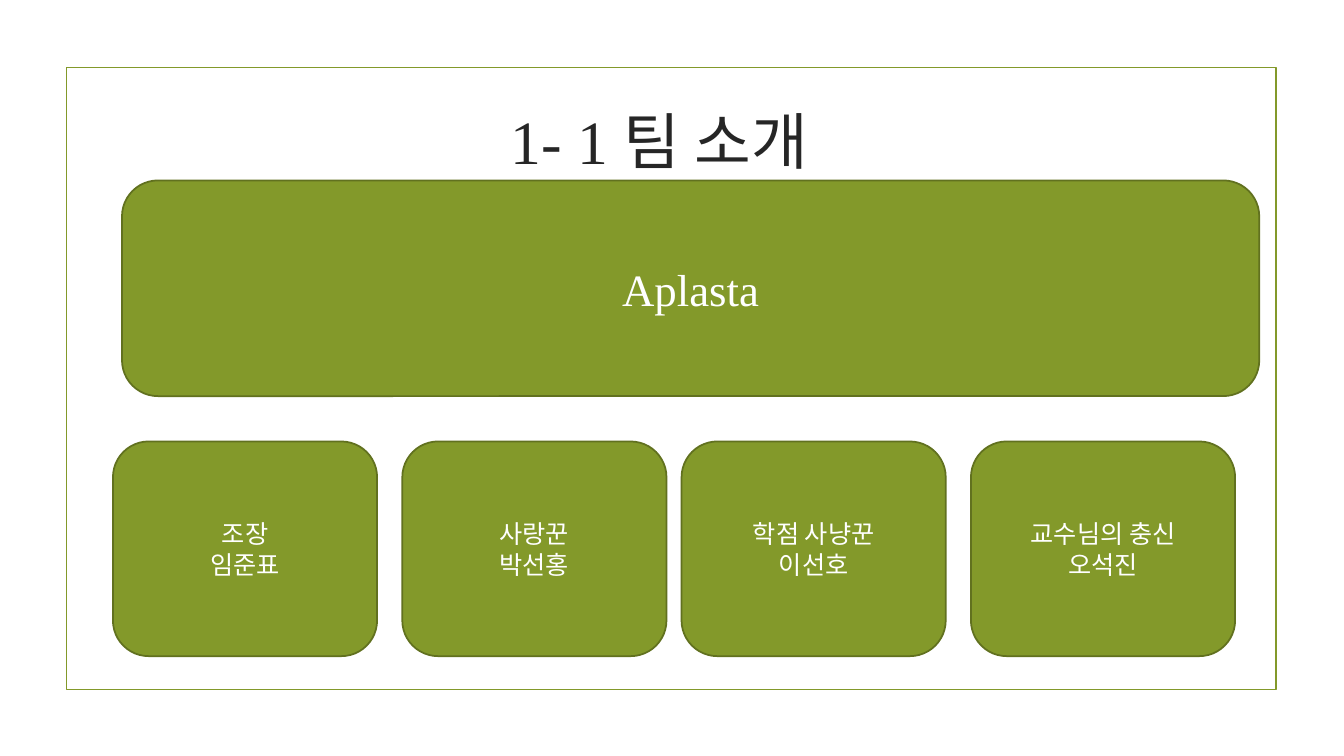
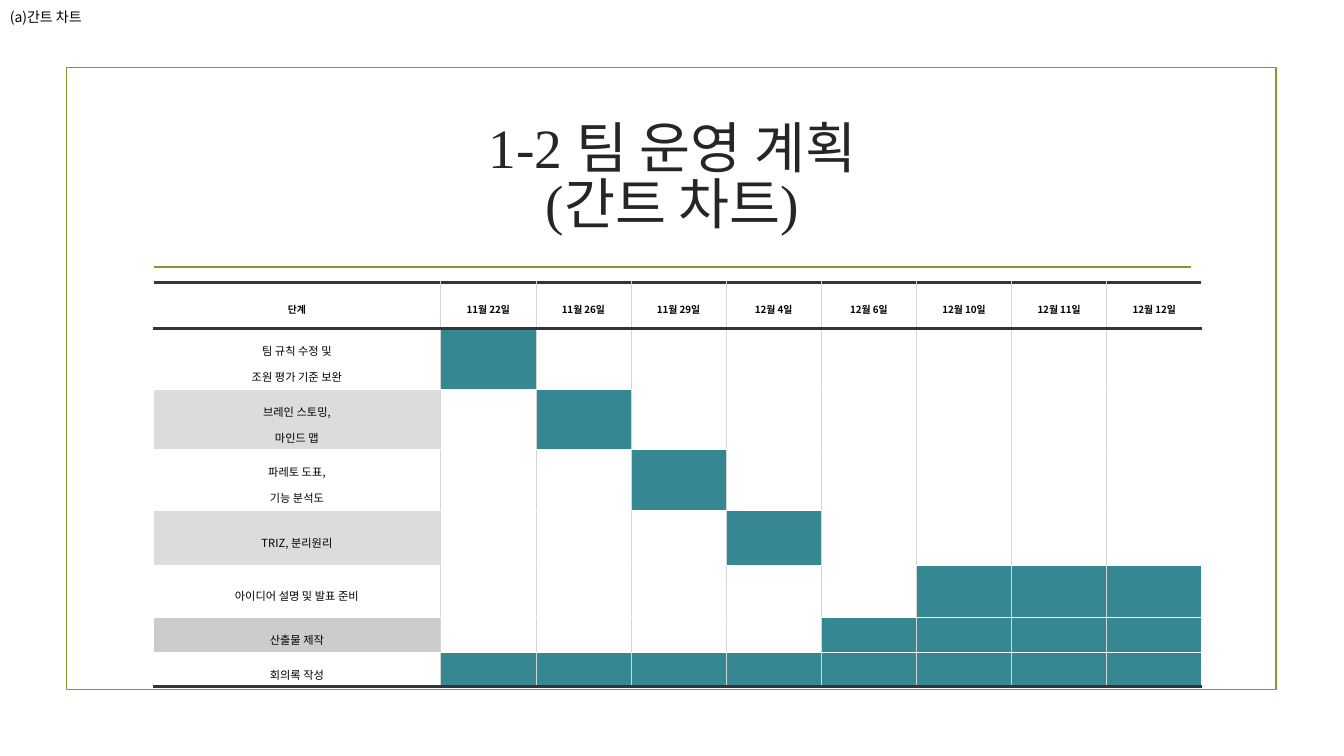
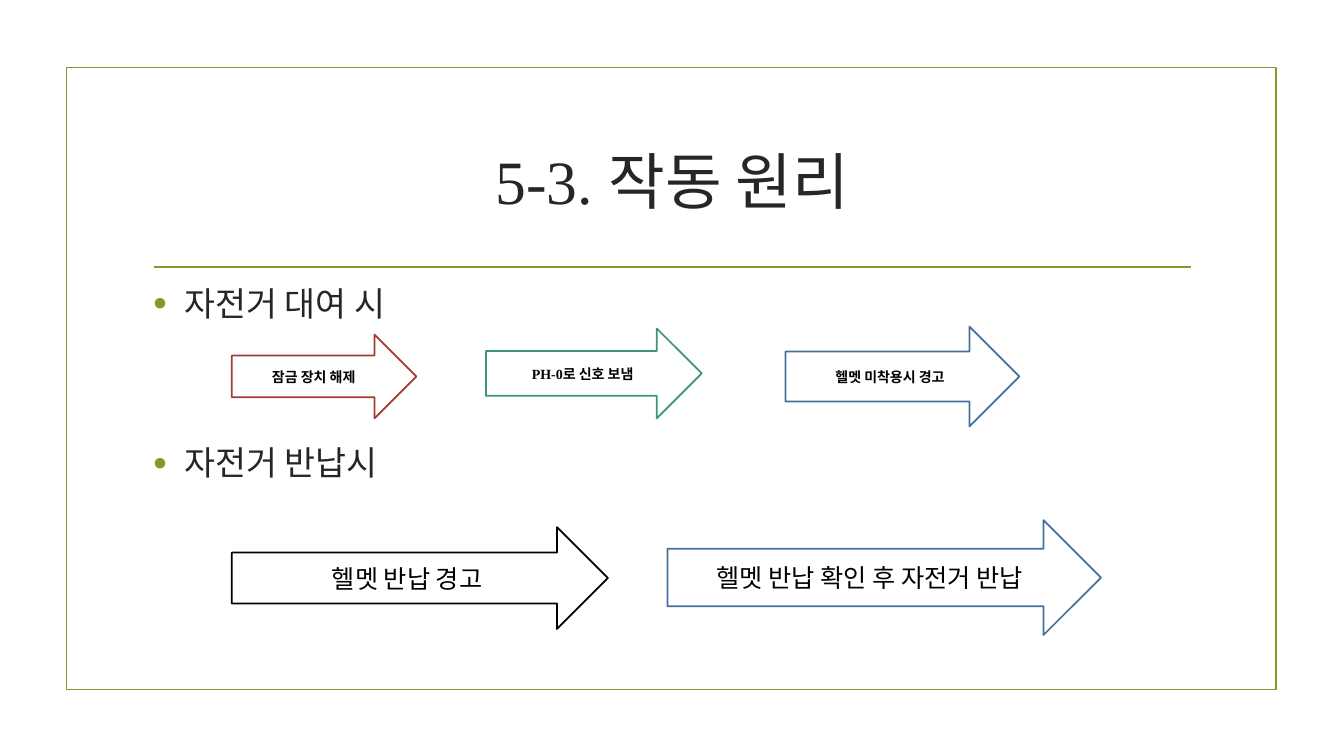
"""Build three team project slides: members, Gantt chart and working principle."""
from lxml import etree
from pptx import Presentation
from pptx.dml.color import RGBColor
from pptx.enum.shapes import MSO_CONNECTOR, MSO_SHAPE
from pptx.enum.text import MSO_ANCHOR, MSO_AUTO_SIZE, PP_ALIGN
from pptx.oxml.ns import qn
from pptx.util import Inches, Pt

RECTANGLE = MSO_SHAPE.RECTANGLE
ROUNDED = MSO_SHAPE.ROUNDED_RECTANGLE
ARROW = MSO_SHAPE.RIGHT_ARROW
STRAIGHT = MSO_CONNECTOR.STRAIGHT
MIDDLE = MSO_ANCHOR.MIDDLE
TOP = MSO_ANCHOR.TOP
NO_AUTOFIT = MSO_AUTO_SIZE.NONE
LEFT = PP_ALIGN.LEFT
CENTER = PP_ALIGN.CENTER

COLORS = {
    "green": "83992A", "dark_green": "61711F", "title": "262626",
    "white": "FFFFFF", "black": "000000", "red": "A23C33",
    "mint": "3C9770", "blue": "44709D", "teal": "358791",
    "grid": "D6D6D6", "rule": "353535", "light_gray": "DCDCDC", "gray": "CCCCCC",
}
SERIF = "Times New Roman"
SANS = "Noto Sans CJK KR"
LINE_WIDTH = Pt(1.25)


def write_text(text_frame, text, size, color, font=SERIF, bold=False, align=CENTER, anchor=MIDDLE):
    """Fill a text frame and format every run, for Latin and Korean alike."""
    text_frame.text = text
    text_frame.word_wrap = True
    text_frame.vertical_anchor = anchor
    for paragraph in text_frame.paragraphs:
        paragraph.alignment = align
        for run in paragraph.runs:
            run.font.size = Pt(size)
            run.font.bold = bold
            run.font.name = font
            run.font.color.rgb = RGBColor.from_string(COLORS[color])
            east_asian = etree.Element(qn("a:ea"), typeface=SANS)
            run.font._element.find(qn("a:latin")).addnext(east_asian)


def add_block(slide, kind, box, fill, line):
    """Add a flat preset shape; a fill of None leaves it open."""
    shape = slide.shapes.add_shape(kind, *[Inches(value) for value in box])
    shape.shadow.inherit = False
    if fill:
        shape.fill.solid()
        shape.fill.fore_color.rgb = RGBColor.from_string(COLORS[fill])
    else:
        shape.fill.background()
    shape.line.color.rgb = RGBColor.from_string(COLORS[line])
    shape.line.width = LINE_WIDTH
    return shape


presentation = Presentation()
presentation.slide_width = Inches(13.33)
presentation.slide_height = Inches(7.5)

TITLES = [
    ("1- 1 팀 소개", 5, (1.29, 0.67), 44, 1.0, False),
    ("1-2 팀 운영 계획\v(간트 차트)", 5, (1.42, 1.07), 39.6, 0.84, True),
    ("5-3. 작동 원리", 1, (1.42, 1.07), 44, 1.0, True),
]
slides = []
for text, layout, (left, top), size, spacing, has_rule in TITLES:
    slide = presentation.slides.add_slide(presentation.slide_layouts[layout])
    slides.append(slide)
    add_block(slide, RECTANGLE, (0.66, 0.67, 12, 6.17), None, "green")
    if has_rule:
        rule = slide.shapes.add_connector(
            STRAIGHT, Inches(1.53), Inches(2.65), Inches(11.81), Inches(2.65))
        rule.line.color.rgb = RGBColor.from_string(COLORS["green"])
        rule.line.width = LINE_WIDTH
        etree.SubElement(rule._element.spPr, qn("a:effectLst"))
    title = slide.shapes.title
    title.left, title.top = Inches(left), Inches(top)
    title.width, title.height = Inches(10.5), Inches(1.43)
    write_text(title.text_frame, text, size, "title")
    title.text_frame.auto_size = NO_AUTOFIT
    title.text_frame.paragraphs[0].line_spacing = spacing
team_slide, gantt_slide, principle_slide = slides

team = add_block(team_slide, ROUNDED, (1.21, 1.79, 11.28, 2.14), "green", "dark_green")
write_text(team.text_frame, "Aplasta", 32, "white")
MEMBERS = [
    (1.12, "조장\n임준표"),
    (3.99, "사랑꾼\n박선홍"),
    (6.76, "학점 사냥꾼\n이선호"),
    (9.63, "교수님의 충신\n오석진"),
]
for left, text in MEMBERS:
    card = add_block(team_slide, ROUNDED, (left, 4.38, 2.62, 2.13), "green", "dark_green")
    write_text(card.text_frame, text, 18, "white")

caption = gantt_slide.shapes.add_textbox(0, 0, Inches(13.33), Inches(0.33))
write_text(caption.text_frame, "(a)간트 차트", 10, "black", SANS, align=LEFT)

DATES = ["11월 22일", "11월 26일", "11월 29일", "12월 4일",
         "12월 6일", "12월 10일", "12월 11일", "12월 12일"]
STAGES = [
    ("단계", 0.46, "white", ()),
    ("팀 규칙 수정 및\n조원 평가 기준 보완", 0.6, "white", (1,)),
    ("브레인 스토밍,\n마인드 맵", 0.6, "light_gray", (2,)),
    ("파레토 도표,\n기능 분석도", 0.6, "white", (3,)),
    ("TRIZ, 분리원리", 0.55, "light_gray", (4,)),
    ("아이디어 설명 및 발표 준비", 0.51, "white", (6, 7, 8)),
    ("산출물 제작", 0.35, "gray", (5, 6, 7, 8)),
    ("회의록 작성", 0.34, "white", range(1, 9)),
]
LAST_ROW, LAST_COLUMN = len(STAGES) - 1, len(DATES)
STAGE_WIDTH, TABLE_WIDTH = 2.85, 10.4
table = gantt_slide.shapes.add_table(
    len(STAGES), len(DATES) + 1, Inches(1.52), Inches(2.8),
    Inches(TABLE_WIDTH), Inches(sum(stage[1] for stage in STAGES))).table
table.first_row = False
table.horz_banding = False
table.columns[0].width = Inches(STAGE_WIDTH)
for column in range(1, LAST_COLUMN + 1):
    table.columns[column].width = Inches((TABLE_WIDTH - STAGE_WIDTH) / len(DATES))

for row, (stage, height, stage_fill, active) in enumerate(STAGES):
    table.rows[row].height = Inches(height)
    for column, text in enumerate([stage] + (DATES if row == 0 else [""] * len(DATES))):
        cell = table.cell(row, column)
        cell.margin_left = cell.margin_right = Inches(0.08)
        cell.margin_top = cell.margin_bottom = Inches(0.04)
        write_text(cell.text_frame, text, 7 if row == 0 else 8, "black", SANS, bold=row == 0)
        cell.vertical_anchor = MIDDLE
        for paragraph in cell.text_frame.paragraphs:
            paragraph.line_spacing = 1.6
            if not text:
                etree.SubElement(paragraph._p, qn("a:endParaRPr"), sz="800")
        borders = {
            "a:lnL": ("grid", 0.28) if column > 0 else None,
            "a:lnR": ("grid", 0.28) if column < LAST_COLUMN else None,
            "a:lnT": ("rule", 2.55) if row < 2 else ("white", 0.28),
            "a:lnB": ("rule", 2.55) if row == 0 else
                     ("rule", 1.98) if row == LAST_ROW else ("white", 0.28),
        }
        properties = cell._tc.get_or_add_tcPr()
        for tag, border in borders.items():
            if border:
                color, width = border
                line = etree.SubElement(properties, qn(tag), w=str(int(Pt(width))))
                solid = etree.SubElement(line, qn("a:solidFill"))
                etree.SubElement(solid, qn("a:srgbClr"), val=COLORS[color])
        fill = stage_fill if column == 0 else "teal" if column in active else "white"
        cell.fill.solid()
        cell.fill.fore_color.rgb = RGBColor.from_string(COLORS[fill])

body = principle_slide.placeholders[1]
body.left, body.top = Inches(1.42), Inches(2.8)
body.width, body.height = Inches(10.5), Inches(3.63)
write_text(body.text_frame, "자전거 대여 시\n자전거 반납시", 24, "title", align=LEFT, anchor=TOP)
body.text_frame.auto_size = NO_AUTOFIT
for paragraph, space_before in zip(body.text_frame.paragraphs, (0, 82)):
    paragraph.line_spacing = 0.9
    paragraph.space_before = Pt(space_before)
    paragraph.space_after = Pt(6)
    properties = paragraph._p.get_or_add_pPr()
    properties.set("marL", str(Inches(0.31)))
    properties.set("indent", str(-Inches(0.31)))
    bullet_color = etree.SubElement(properties, qn("a:buClr"))
    etree.SubElement(bullet_color, qn("a:srgbClr"), val=COLORS["green"])
    etree.SubElement(properties, qn("a:buSzPct"), val="115000")
    etree.SubElement(properties, qn("a:buChar"), char="•")

STEPS = [
    ("잠금 장치 해제", (2.3, 3.32, 1.83, 0.83), "red", 10, True),
    ("PH-0로 신호 보냄", (4.82, 3.26, 2.14, 0.89), "mint", 10, True),
    ("헬멧 미착용시 경고", (7.79, 3.24, 2.32, 0.99), "blue", 10, True),
    ("헬멧 반납 경고", (2.3, 5.23, 3.73, 1.01), "black", 18, False),
    ("헬멧 반납 확인 후 자전거 반납", (6.62, 5.16, 4.3, 1.14), "blue", 18, False),
]
for text, box, line, size, bold in STEPS:
    arrow = add_block(principle_slide, ARROW, box, "white", line)
    write_text(arrow.text_frame, text, size, "black", bold=bold)

presentation.save("out.pptx")
